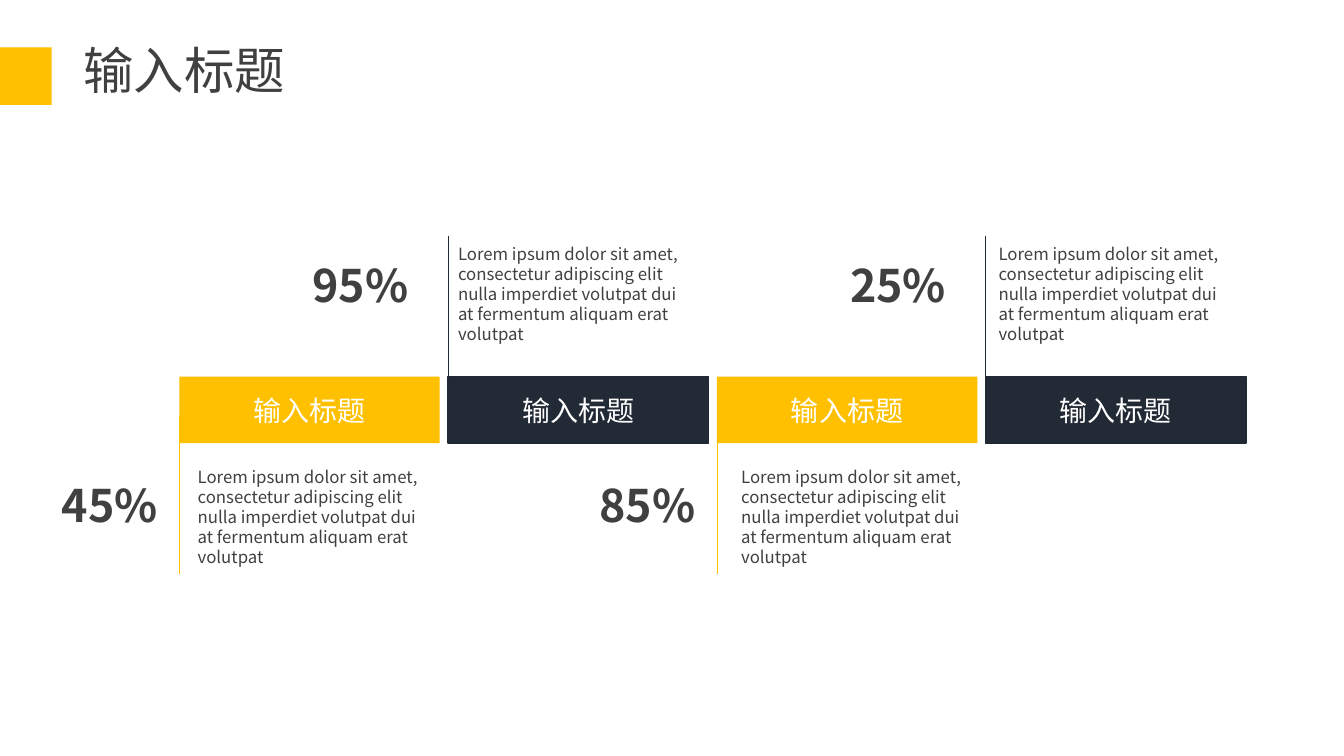
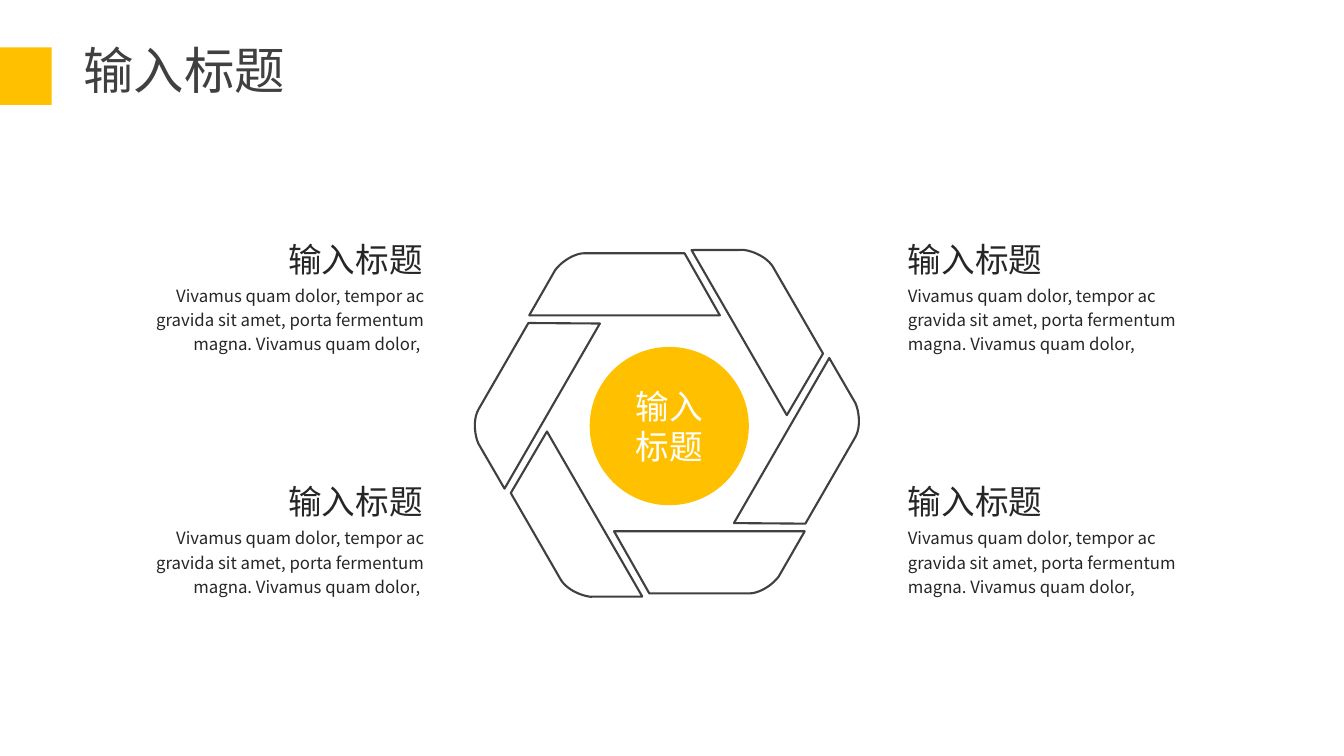
"""Build two slides: a strip of four steps and a ring of six blades."""
import dataclasses
import math
import typing

import lxml.etree
import pptx
import pptx.dml.color
import pptx.enum.shapes
import pptx.enum.text
import pptx.oxml.ns
import pptx.util

COLS, ROWS = 160, 90
UNIT = 76200
FACE = "Noto Sans CJK SC"
HEAD = "输入标题"
LOREM = ("Lorem ipsum dolor sit amet, consectetur adipiscing elit nulla "
         "imperdiet volutpat dui at fermentum aliquam erat volutpat")
VIVA = ("Vivamus quam dolor, tempor ac gravida sit amet, porta fermentum "
        "magna. Vivamus quam dolor,")
HUES = {"gold": "FFC000", "navy": "222A35", "edge": "1F2835",
        "gray": "404040", "ink": "262626", "white": "FFFFFF"}

Align = pptx.enum.text.PP_ALIGN
Anchor = pptx.enum.text.MSO_ANCHOR
Form = pptx.enum.shapes.MSO_SHAPE
Point = tuple[float, float]


@dataclasses.dataclass(frozen=True)
class Box:
    """A place in grid columns and rows."""
    left: float
    top: float
    wide: float
    high: float

    def emu(self) -> list[int]:
        """Return the place in slide units."""
        return [grid(v) for v in dataclasses.astuple(self)]


@dataclasses.dataclass(frozen=True)
class Style:
    """The look of one text."""
    size: float
    hue: str
    bold: bool = False
    align: typing.Any = Align.LEFT
    space: float = 1.0
    anchor: typing.Any = Anchor.TOP
    inset: Point = (0.1, 0.05)


@dataclasses.dataclass(frozen=True)
class Step:
    """One step of the strip: its share, and how far its note is set in."""
    share: str
    inset: float


@dataclasses.dataclass(frozen=True)
class Side:
    """The places and colours of steps above or below the strip."""
    fill: str
    edge: str | None
    rule: str
    ends: Point
    note: float
    share: Point


TITLE = Style(36, "gray", align=Align.JUSTIFY)
LABEL = Style(20, "white", align=Align.CENTER, anchor=Anchor.MIDDLE)
NOTE = Style(12, "gray")
SHARE = Style(32, "gray", True, space=0.9, anchor=Anchor.MIDDLE, inset=(0.2, 0.1))
CORE = Style(24, "white", align=Align.CENTER, anchor=Anchor.MIDDLE)
TOPIC = Style(24, "ink", space=1.2)
BODY = Style(12, "ink", space=1.2)

STEPS = [Step("45%", 1), Step("95%", 0), Step("85%", 1.7), Step("25%", 0.35)]
BELOW = Side("gold", None, "gold", (49.5, 68.3), 54.95, (-16.4, 56.5))
ABOVE = Side("navy", "edge", "edge", (28.1, 52.7), 28.4, (-18.55, 30.35))

MID = (79.4, 50.4)
BLADE = [(-9.8, -20.25), (2.1, -20.25), (6.3, -12.85), (-16.4, -12.85)]
BEND = [(-13.3, -18.25), (-12.5, -19.3), (-11, -20.25), (-9.8, -20.25)]


def grid(cells: float) -> int:
    """Turn grid cells into slide units."""
    return round(cells * UNIT)


def tint(name: str) -> pptx.dml.color.RGBColor:
    """Return a named colour."""
    return pptx.dml.color.RGBColor.from_string(HUES[name])


def put(item: typing.Any, values: dict[str, typing.Any]) -> None:
    """Set attributes from format values."""
    for name, value in values.items():
        setattr(item, name, value)


def write(shape: typing.Any, text: str, style: Style) -> None:
    """Write one styled paragraph into a shape."""
    frame = shape.text_frame
    side, end = map(pptx.util.Inches, style.inset)
    put(frame, {"word_wrap": True, "vertical_anchor": style.anchor,
                "auto_size": pptx.enum.text.MSO_AUTO_SIZE.NONE,
                "margin_left": side, "margin_right": side,
                "margin_top": end, "margin_bottom": end})
    para = frame.paragraphs[0]
    put(para, {"alignment": style.align, "line_spacing": style.space})
    run = para.add_run()
    run.text = text
    put(run.font, {"size": pptx.util.Pt(style.size), "bold": style.bold, "name": FACE})
    run.font.color.rgb = tint(style.hue)
    east = pptx.oxml.ns.qn("a:ea")
    lxml.etree.SubElement(run.font._rPr, east, typeface=FACE)


def label(slide: typing.Any, box: Box, text: str, style: Style) -> None:
    """Add a text box."""
    write(slide.shapes.add_textbox(*box.emu()), text, style)


def paint(shape: typing.Any, fill: str | None, edge: str | None, width: float = 1) -> None:
    """Give a shape its fill and line."""
    shape.shadow.inherit = False
    if fill:
        shape.fill.solid()
        shape.fill.fore_color.rgb = tint(fill)
    else:
        shape.fill.background()
    if edge:
        shape.line.color.rgb = tint(edge)
        shape.line.width = pptx.util.Pt(width)
    else:
        shape.line.fill.background()


def block(slide: typing.Any, form: typing.Any, box: Box, fill: str,
          edge: str | None = None) -> typing.Any:
    """Add a filled shape."""
    shape = slide.shapes.add_shape(form, *box.emu())
    paint(shape, fill, edge)
    return shape


def rule(slide: typing.Any, col: float, ends: Point, hue: str) -> None:
    """Add a thin upright line."""
    top, base = map(grid, ends)
    kind = pptx.enum.shapes.MSO_CONNECTOR.STRAIGHT
    line = slide.shapes.add_connector(kind, grid(col), top, grid(col), base)
    line.line.color.rgb = tint(hue)
    line.line.width = pptx.util.Pt(0.5)
    lxml.etree.SubElement(line._element.spPr, pptx.oxml.ns.qn("a:effectLst"))


def start(deck: typing.Any) -> typing.Any:
    """Add a slide with its gold band and title."""
    slide = deck.slides.add_slide(deck.slide_layouts[5])
    block(slide, Form.RECTANGLE, Box(0, 5.65, 6.15, 6.85), "gold")
    title = slide.shapes.title
    names = ("left", "top", "width", "height")
    put(title, dict(zip(names, Box(8.75, 4.1, 27.35, 8.5).emu())))
    write(title, HEAD, TITLE)
    return slide


def strip(slide: typing.Any) -> None:
    """Draw the four steps, below and above in turn."""
    for index, step in enumerate(STEPS):
        side = ABOVE if index % 2 else BELOW
        left = 21.35 + 32 * index
        shape = block(slide, Form.RECTANGLE, Box(left, 44.85, 31, 7.9), side.fill, side.edge)
        write(shape, HEAD, LABEL)
        label(slide, Box(left + step.inset, side.note, 28.9, 13.3), LOREM, NOTE)
        shift, top = side.share
        label(slide, Box(left + shift, top, 16.9, 7.9), step.share, SHARE)
        rule(slide, left, side.ends, side.rule)


def curve(ends: list[Point], count: int = 10) -> list[Point]:
    """Return points along a cubic curve."""
    spots = []
    for step in range(count + 1):
        t = step / count
        parts = [math.comb(3, k) * t**k * (1 - t)**(3 - k) for k in range(4)]
        spots.append((sum(w * x for w, (x, _) in zip(parts, ends)),
                      sum(w * y for w, (_, y) in zip(parts, ends))))
    return spots


def turn(spot: Point, angle: float) -> tuple[int, int]:
    """Turn a point about the ring's middle and place it on the slide."""
    (x, y), cos, sin = spot, math.cos(angle), math.sin(angle)
    return grid(MID[0] + x * cos - y * sin), grid(MID[1] + x * sin + y * cos)


def ring(slide: typing.Any) -> None:
    """Draw six blades about a core, with four topics at the sides."""
    for index in range(6):
        spots = [turn(s, index * math.pi / 3) for s in BLADE + curve(BEND)]
        pen = slide.shapes.build_freeform(*spots[0])
        pen.add_line_segments(spots[1:], close=True)
        paint(pen.convert_to_shape(), None, "gray", 1.5)
    core = block(slide, Form.OVAL, Box(70.2, 41.3, 18.95, 18.85), "gold")
    write(core, HEAD, CORE)
    for left, align, tail in ((106.9, Align.LEFT, ""), (14.2, Align.RIGHT, " ")):
        for row in range(2):
            top = 26.9 + 28.85 * row
            label(slide, Box(left, top, 37.3, 6.6), HEAD,
                  dataclasses.replace(TOPIC, align=align))
            label(slide, Box(left, top + 6.05, 37.5, 9.7), VIVA + tail,
                  dataclasses.replace(BODY, align=align))


def main() -> None:
    """Build and save the deck."""
    deck = pptx.Presentation()
    put(deck, {"slide_width": grid(COLS), "slide_height": grid(ROWS)})
    for draw in (strip, ring):
        draw(start(deck))
    deck.save("out.pptx")


if __name__ == "__main__":
    main()
